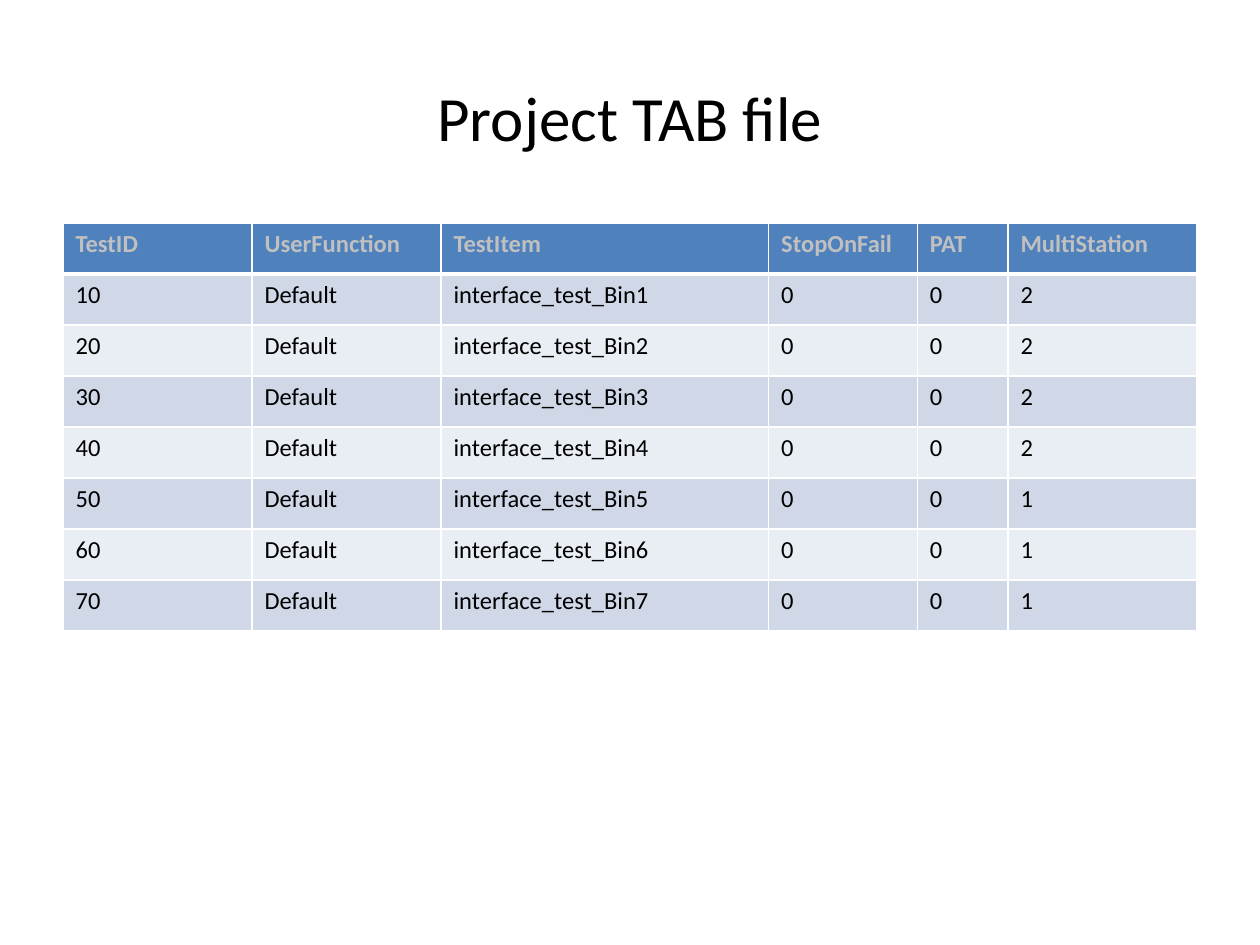
import pptx
import pptx.dml.color
import pptx.enum.text
import pptx.oxml
import pptx.oxml.ns
import pptx.util

Inches = pptx.util.Inches
Pt = pptx.util.Pt
RGBColor = pptx.dml.color.RGBColor

TITLE = "Project TAB file"
HEADERS = ["TestID", "UserFunction", "TestItem", "StopOnFail", "PAT", "MultiStation"]
STATIONS = [2, 2, 2, 2, 1, 1, 1]
TESTS = [
    [str(number * 10), "Default", f"interface_test_Bin{number}", "0", "0", str(stations)]
    for number, stations in enumerate(STATIONS, start=1)
]
COLUMN_WIDTHS = [1.5, 1.5, 2.6, 1.18, 0.72, 1.5]
TABLE_HEIGHT = 3.24

FONT = "Calibri"
BLACK = RGBColor(0x00, 0x00, 0x00)
WHITE = RGBColor(0xFF, 0xFF, 0xFF)
GREY = RGBColor(0xC0, 0xC0, 0xC0)
HEADER_FILL = RGBColor(0x4F, 0x81, 0xBD)
BAND_FILLS = [RGBColor(0xD0, 0xD8, 0xE8), RGBColor(0xE9, 0xED, 0xF4)]


def add_run(paragraph, text, size, color, bold=False):
    """Add one formatted run to a paragraph."""
    run = paragraph.add_run()
    run.text = text
    run.font.name = FONT
    run.font.size = Pt(size)
    run.font.bold = bold
    run.font.color.rgb = color


def set_borders(cell, widths):
    """Draw white cell borders, given widths in points for left, right, top, bottom."""
    properties = cell._tc.get_or_add_tcPr()
    namespace = pptx.oxml.ns.nsdecls("a")
    for position, (side, width) in enumerate(zip("LRTB", widths)):
        border = pptx.oxml.parse_xml(
            f'<a:ln{side} {namespace} w="{Pt(width)}"><a:solidFill>'
            f'<a:srgbClr val="{WHITE}"/></a:solidFill></a:ln{side}>'
        )
        properties.insert(position, border)


def add_title(slide):
    """Fill and place the title placeholder."""
    title = slide.shapes.title
    title.left, title.top = Inches(0.5), Inches(0.3)
    title.width, title.height = Inches(9), Inches(1.25)
    title.text_frame.vertical_anchor = pptx.enum.text.MSO_ANCHOR.MIDDLE
    paragraph = title.text_frame.paragraphs[0]
    paragraph.alignment = pptx.enum.text.PP_ALIGN.CENTER
    add_run(paragraph, TITLE, 36, BLACK)


def add_test_table(slide):
    """Add the banded table of tests."""
    rows = [HEADERS] + TESTS
    table = slide.shapes.add_table(
        len(rows), len(HEADERS), Inches(0.5), Inches(1.77),
        Inches(sum(COLUMN_WIDTHS)), Inches(TABLE_HEIGHT),
    ).table
    for column, width in zip(table.columns, COLUMN_WIDTHS):
        column.width = Inches(width)
    for row_index, row in enumerate(rows):
        is_header = row_index == 0
        fill = HEADER_FILL if is_header else BAND_FILLS[(row_index - 1) % 2]
        top = 3 if row_index == 1 else 1
        bottom = 3 if is_header else 1
        for column_index, text in enumerate(row):
            cell = table.cell(row_index, column_index)
            cell.fill.solid()
            cell.fill.fore_color.rgb = fill
            set_borders(cell, (1, 1, top, bottom))
            color = GREY if is_header else BLACK
            add_run(cell.text_frame.paragraphs[0], text, 14, color, is_header)


presentation = pptx.Presentation()
presentation.slide_width = Inches(10)
presentation.slide_height = Inches(7.5)
slide = presentation.slides.add_slide(presentation.slide_layouts[5])
slide.background.fill.solid()
slide.background.fill.fore_color.rgb = WHITE
add_title(slide)
add_test_table(slide)
presentation.save("out.pptx")
